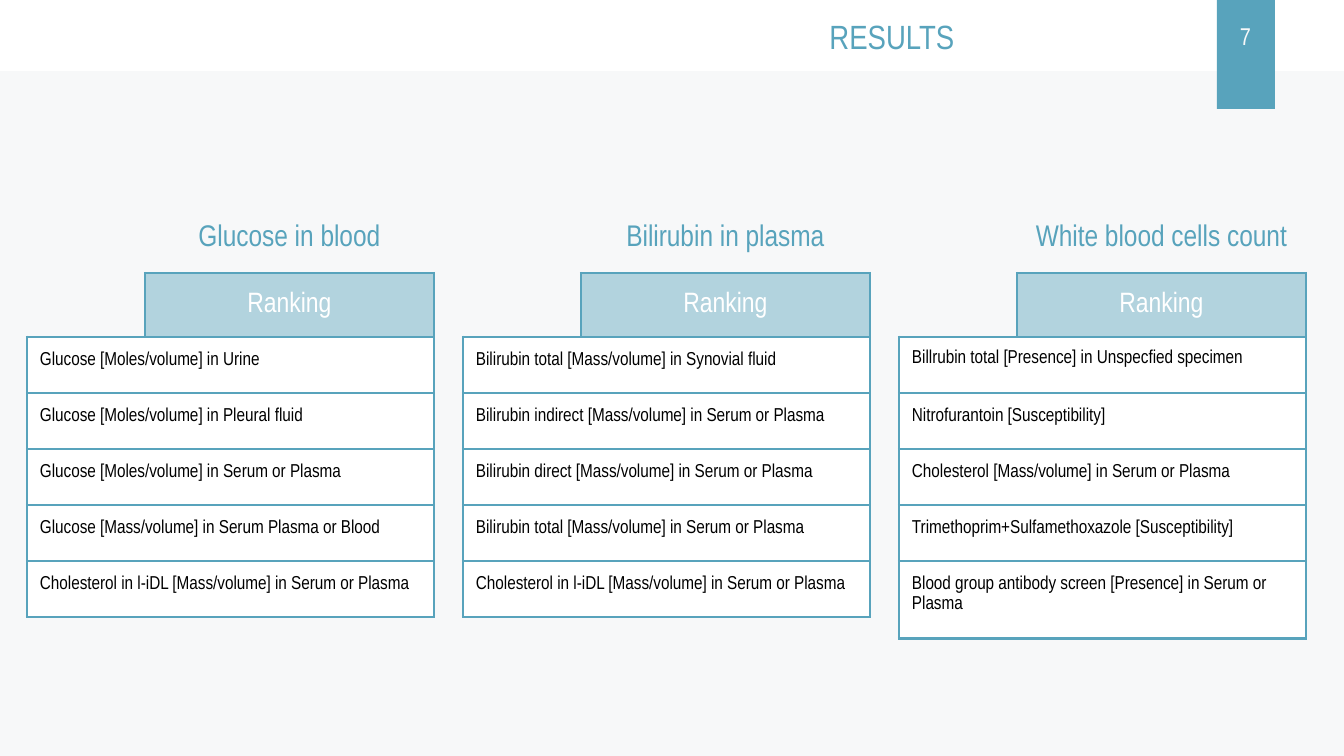
from lxml.etree import SubElement
from pptx import Presentation
from pptx.dml.color import RGBColor
from pptx.enum.shapes import MSO_SHAPE
from pptx.enum.text import MSO_ANCHOR, MSO_AUTO_SIZE, PP_ALIGN
from pptx.oxml import parse_xml
from pptx.oxml.ns import nsdecls, qn
from pptx.util import Emu, Pt

COLORS = {"background": "F7F8F9", "accent": "58A3BC", "white": "FFFFFF", "text": "000000"}
FONT = "Arial Narrow"
MARGIN = 13
BORDER_PT = 1.5
RANKING_ALPHA = 43

COLUMN_WIDTHS = [118, 98, 96, 95]
HEADER_HEIGHT, ROW_HEIGHT = 64, 56
HEADING_HEIGHT, HEADING_GAP = 56, 13
PANEL_LEFT, PANEL_TOP, PANEL_STEP = 27, 204, 436

RANKINGS = {
    "Glucose in blood": [
        "Glucose [Moles/volume] in Urine",
        "Glucose [Moles/volume] in Pleural ﬂuid",
        "Glucose [Moles/volume] in Serum or Plasma",
        "Glucose [Mass/volume] in Serum Plasma or Blood",
        "Cholesterol in l-iDL [Mass/volume] in Serum or Plasma",
    ],
    "Bilirubin in plasma": [
        "Bilirubin total [Mass/volume] in Synovial fluid",
        "Bilirubin indirect [Mass/volume] in Serum or Plasma",
        "Bilirubin direct [Mass/volume] in Serum or Plasma",
        "Bilirubin total [Mass/volume] in Serum or Plasma",
        "Cholesterol in l-iDL [Mass/volume] in Serum or Plasma",
    ],
    "White blood cells count": [
        "Billrubin total [Presence] in Unspecfied specimen",
        "Nitrofurantoin [Susceptibility]",
        "Cholesterol [Mass/volume] in Serum or Plasma",
        "Trimethoprim+Sulfamethoxazole [Susceptibility]",
        "Blood group antibody screen [Presence] in Serum or Plasma",
    ],
}
SINGLE_SPACED = {"Billrubin total [Presence] in Unspecfied specimen"}


def px(length):
    return Emu(round(length * 914400 / 134.4))


def rgb(name):
    return RGBColor.from_string(COLORS[name])


def set_margins(target):
    """Give a text frame or a table cell the same inset on all sides."""
    target.margin_left = target.margin_right = px(MARGIN)
    target.margin_top = target.margin_bottom = px(MARGIN)


def write(text_frame, text, size, color, align=PP_ALIGN.CENTER, spacing=None):
    text_frame.word_wrap = True
    paragraph = text_frame.paragraphs[0]
    paragraph.text = text
    paragraph.alignment = align
    paragraph.line_spacing = spacing
    paragraph.font.name = FONT
    paragraph.font.size = Pt(size)
    paragraph.font.color.rgb = rgb(color)


def add_text(slide, left, top, width, height, text, size, color):
    box = slide.shapes.add_textbox(px(left), px(top), px(width), px(height))
    set_margins(box.text_frame)
    write(box.text_frame, text, size, color)


def add_bar(slide, left, top, width, height, color):
    bar = slide.shapes.add_shape(MSO_SHAPE.RECTANGLE, px(left), px(top), px(width), px(height))
    bar.shadow.inherit = False
    bar.fill.solid()
    bar.fill.fore_color.rgb = rgb(color)
    bar.line.fill.background()
    return bar


def fill_cell(cell, color, alpha=None):
    cell.fill.solid()
    cell.fill.fore_color.rgb = rgb(color)
    if alpha is not None:
        color_element = cell._tc.tcPr.find(qn("a:solidFill"))[0]
        SubElement(color_element, qn("a:alpha"), val=str(alpha * 1000))


def set_borders(cell, visible="LRTB"):
    """Draw the visible sides; the lines must come before the fill in tcPr."""
    properties = cell._tc.get_or_add_tcPr()
    for index, side in enumerate("LRTB"):
        fill = "<a:noFill/>"
        if side in visible:
            fill = f'<a:solidFill><a:srgbClr val="{COLORS["accent"]}"/></a:solidFill>'
        line = f'<a:ln{side} {nsdecls("a")} w="{Pt(BORDER_PT)}">{fill}</a:ln{side}>'
        properties.insert(index, parse_xml(line))


def add_header(slide, left, top, width, height):
    banner = add_bar(slide, left, top, width, height, "white")
    badge = add_bar(slide, left + 1217, top, 58, 109, "accent")
    add_text(slide, left + 1205, top + 8, 81, 58, "7", 13, "background")

    title = slide.shapes.title
    for bar in (banner, badge):
        title._element.addprevious(bar._element)
    title.left, title.top, title.width, title.height = px(left + 579), px(top + 13), px(626), px(47)
    frame = title.text_frame
    set_margins(frame)
    frame.auto_size = MSO_AUTO_SIZE.NONE
    frame.vertical_anchor = MSO_ANCHOR.MIDDLE
    write(frame, "RESULTS", 18, "accent")


def add_ranking_table(slide, left, top, items):
    height = HEADER_HEIGHT + ROW_HEIGHT * len(items)
    table = slide.shapes.add_table(
        len(items) + 1, len(COLUMN_WIDTHS),
        px(left), px(top), px(sum(COLUMN_WIDTHS)), px(height)).table
    table.first_row = table.horz_banding = False
    for column, width in zip(table.columns, COLUMN_WIDTHS):
        column.width = px(width)
    for row in table.rows:
        row.height = px(ROW_HEIGHT)
    table.rows[0].height = px(HEADER_HEIGHT)

    last = len(COLUMN_WIDTHS) - 1
    corner, header = table.cell(0, 0), table.cell(0, 1)
    header.merge(table.cell(0, last))
    header.vertical_anchor = MSO_ANCHOR.MIDDLE
    set_margins(header)
    fill_cell(header, "accent", RANKING_ALPHA)
    write(header.text_frame, "Ranking", 15, "white")
    corner.fill.background()

    for row, item in enumerate(items, start=1):
        cell = table.cell(row, 0)
        cell.merge(table.cell(row, last))
        set_margins(cell)
        fill_cell(cell, "white")
        spacing = 1.0 if item in SINGLE_SPACED else 1.15
        write(cell.text_frame, item, 10, "text", PP_ALIGN.LEFT, spacing)

    for cell in table.iter_cells():
        set_borders(cell, "RB" if cell == corner else "LRTB")


def add_ranking_panel(slide, left, top, heading, items):
    indent = COLUMN_WIDTHS[0]
    add_text(slide, left + indent, top, sum(COLUMN_WIDTHS[1:]), HEADING_HEIGHT,
             heading, 16, "accent")
    add_ranking_table(slide, left, top + HEADING_HEIGHT + HEADING_GAP, items)


def main():
    presentation = Presentation()
    presentation.slide_width, presentation.slide_height = px(1344), px(756)
    slide = presentation.slides.add_slide(presentation.slide_layouts[5])
    slide.background.fill.solid()
    slide.background.fill.fore_color.rgb = rgb("background")

    add_header(slide, 0, 0, 1344, 71)
    for index, (heading, items) in enumerate(RANKINGS.items()):
        add_ranking_panel(slide, PANEL_LEFT + index * PANEL_STEP, PANEL_TOP, heading, items)
    presentation.save("out.pptx")


if __name__ == "__main__":
    main()
